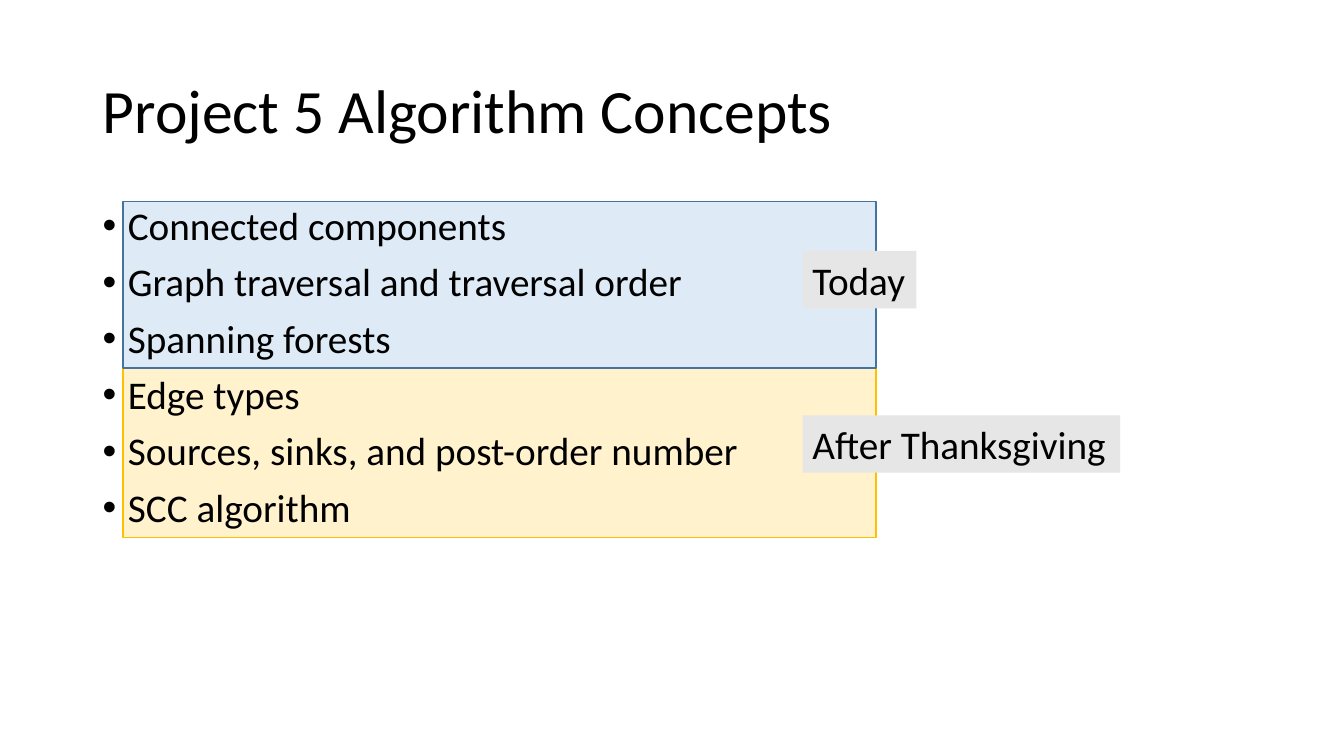
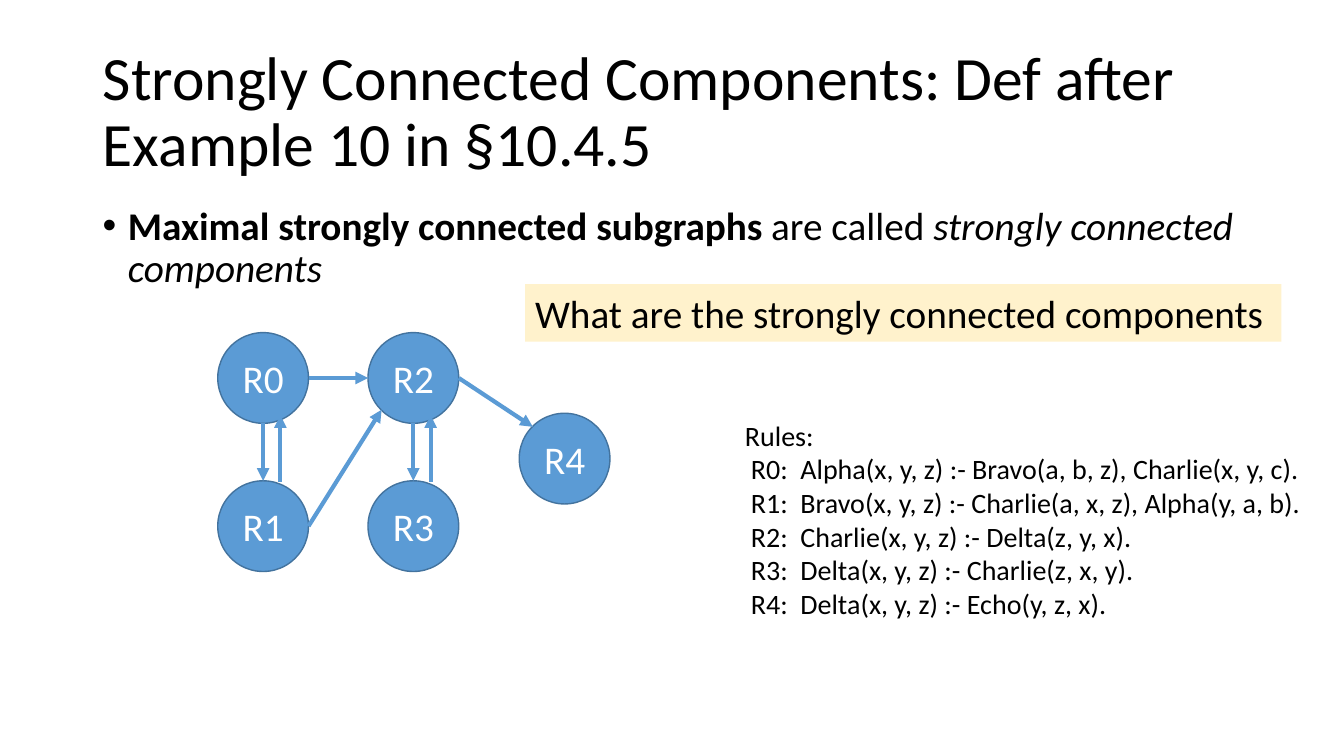
from pptx import Presentation
from pptx.dml.color import RGBColor
from pptx.enum.shapes import MSO_CONNECTOR, MSO_SHAPE
from pptx.enum.text import MSO_ANCHOR, MSO_AUTO_SIZE, PP_ALIGN
from pptx.oxml.ns import qn
from pptx.util import Inches, Pt
from lxml.etree import SubElement

FONT = "Calibri"
COLORS = {
    "text": "000000",
    "white": "FFFFFF",
    "blue": "5B9BD5",
    "blue_edge": "43739E",
    "blue_light": "DEEBF7",
    "gold": "FFC000",
    "gold_light": "FFF2CC",
    "gray": "E7E6E6",
}
CONTENT_LEFT, CONTENT_WIDTH = 0.92, 11.5
NODE_SIZE = 0.9
NODES = {
    "R0": (2.16, 3.3),
    "R1": (2.16, 4.77),
    "R2": (3.65, 3.3),
    "R3": (3.65, 4.77),
    "R4": (5.15, 4.1),
}
SITES = {
    "top": (0.5, 0),
    "bottom": (0.5, 1),
    "right": (1, 0.5),
    "top left": (0.15, 0.15),
    "bottom left": (0.15, 0.85),
    "return start": (0.69, 0.01),
    "return end": (0.69, 0.91),
}
EDGES = [
    ("R0", "bottom", "R1", "top"),
    ("R0", "right", "R2", "left"),
    ("R1", "return start", "R0", "return end"),
    ("R1", "right", "R2", "bottom left"),
    ("R2", "bottom", "R3", "top"),
    ("R3", "return start", "R2", "return end"),
    ("R2", "right", "R4", "top left"),
]
SITES["left"] = (0, 0.5)
RULES = [
    "Rules:",
    "R0:\tAlpha(x, y, z) :- Bravo(a, b, z), Charlie(x, y, c).",
    "R1:\tBravo(x, y, z) :- Charlie(a, x, z), Alpha(y, a, b).",
    "R2:\tCharlie(x, y, z) :- Delta(z, y, x).",
    "R3:\tDelta(x, y, z) :- Charlie(z, x, y).",
    "R4:\tDelta(x, y, z) :- Echo(y, z, x).",
]


def rgb(name):
    return RGBColor.from_string(COLORS[name])


def format_font(font, size, color="text"):
    font.name = FONT
    font.size = Pt(size)
    font.color.rgb = rgb(color)


def set_indent(paragraph, left, first):
    properties = paragraph._p.get_or_add_pPr()
    properties.set("marL", str(Inches(left)))
    properties.set("indent", str(Inches(first)))
    return properties


def add_titled_slide(presentation, title):
    slide = presentation.slides.add_slide(presentation.slide_layouts[5])
    shape = slide.shapes.title
    shape.left, shape.top = Inches(CONTENT_LEFT), Inches(0.4)
    shape.width, shape.height = Inches(CONTENT_WIDTH), Inches(1.45)
    frame = shape.text_frame
    frame.text = title
    frame.auto_size = MSO_AUTO_SIZE.NONE
    frame.vertical_anchor = MSO_ANCHOR.MIDDLE
    paragraph = frame.paragraphs[0]
    paragraph.alignment = PP_ALIGN.LEFT
    paragraph.line_spacing = 0.9
    format_font(paragraph.runs[0].font, 44)
    return slide


def add_text_box(slide, left, top, width, height):
    box = slide.shapes.add_textbox(Inches(left), Inches(top), Inches(width), Inches(height))
    box.text_frame.word_wrap = True
    return box


def add_bullets(slide, items):
    frame = add_text_box(slide, CONTENT_LEFT, 2, CONTENT_WIDTH, 4.76).text_frame
    for index, runs in enumerate(items):
        paragraph = frame.add_paragraph() if index else frame.paragraphs[0]
        properties = set_indent(paragraph, 0.25, -0.25)
        SubElement(properties, qn("a:buFont"), typeface="Arial")
        SubElement(properties, qn("a:buChar"), char="•")
        paragraph.line_spacing = 0.9
        paragraph.space_before = Pt(10 if index else 0)
        for text, style in runs:
            run = paragraph.add_run()
            run.text = text
            format_font(run.font, 28)
            run.font.bold = style == "bold"
            run.font.italic = style == "italic"


def add_label(slide, text, left, top, width, fill):
    label = add_text_box(slide, left, top, width, 0.57)
    label.fill.solid()
    label.fill.fore_color.rgb = rgb(fill)
    label.text_frame.margin_right = 0
    label.text_frame.text = text
    format_font(label.text_frame.paragraphs[0].runs[0].font, 28)


def add_outlined_shape(slide, kind, left, top, width, height, fill, line):
    shape = slide.shapes.add_shape(kind, Inches(left), Inches(top), Inches(width), Inches(height))
    shape.shadow.inherit = False
    shape.fill.solid()
    shape.fill.fore_color.rgb = rgb(fill)
    shape.line.color.rgb = rgb(line)
    shape.line.width = Pt(1)
    return shape


def add_node(slide, name):
    node = add_outlined_shape(slide, MSO_SHAPE.OVAL, *NODES[name], NODE_SIZE, NODE_SIZE,
                              "blue", "blue_edge")
    frame = node.text_frame
    frame.text = name
    frame.word_wrap = False
    frame.vertical_anchor = MSO_ANCHOR.MIDDLE
    frame.paragraphs[0].alignment = PP_ALIGN.CENTER
    format_font(frame.paragraphs[0].runs[0].font, 28, "white")


def site_position(node, site):
    return [Inches(start + share * NODE_SIZE) for start, share in zip(NODES[node], SITES[site])]


def add_edge(slide, source, source_site, target, target_site):
    edge = slide.shapes.add_connector(
        MSO_CONNECTOR.STRAIGHT,
        *site_position(source, source_site),
        *site_position(target, target_site),
    )
    edge.line.color.rgb = rgb("blue")
    edge.line.width = Pt(3)
    SubElement(edge.line._get_or_add_ln(), qn("a:tailEnd"), type="triangle")
    SubElement(edge._element.spPr, qn("a:effectLst"))


def add_rules(slide):
    frame = add_text_box(slide, 7.29, 4.1, 5.9, 2.2).text_frame
    for index, rule in enumerate(RULES):
        paragraph = frame.add_paragraph() if index else frame.paragraphs[0]
        paragraph.text = rule
        if index:
            set_indent(paragraph, 0.55, -0.49)
        for run in paragraph.runs:
            format_font(run.font, 20)


def build_concepts(presentation):
    slide = add_titled_slide(presentation, "Project 5 Algorithm Concepts")
    add_outlined_shape(slide, MSO_SHAPE.RECTANGLE, 1.22, 3.64, 7.47, 1.69, "gold_light", "gold")
    add_outlined_shape(slide, MSO_SHAPE.RECTANGLE, 1.22, 2, 7.47, 1.65, "blue_light", "blue_edge")
    concepts = [
        "Connected components",
        "Graph traversal and traversal order",
        "Spanning forests",
        "Edge types",
        "Sources, sinks, and post-order number",
        "SCC algorithm",
    ]
    add_bullets(slide, [[(concept, "plain")] for concept in concepts])
    add_label(slide, "Today", 7.96, 2.49, 1.13, "gray")
    add_label(slide, "After Thanksgiving", 7.96, 4.12, 3.15, "gray")


def build_components(presentation):
    slide = add_titled_slide(
        presentation, "Strongly Connected Components: Def after Example 10 in §10.4.5")
    add_rules(slide)
    add_bullets(slide, [[
        ("Maximal strongly connected subgraphs ", "bold"),
        ("are called ", "plain"),
        ("strongly connected components", "italic"),
    ]])
    for name in NODES:
        add_node(slide, name)
    for edge in EDGES:
        add_edge(slide, *edge)
    add_label(slide, "What are the strongly connected components", 5.21, 2.82, 7.5, "gold_light")


def main():
    presentation = Presentation()
    presentation.slide_width = Inches(13.33)
    presentation.slide_height = Inches(7.5)
    build_concepts(presentation)
    build_components(presentation)
    presentation.save("out.pptx")


if __name__ == "__main__":
    main()
